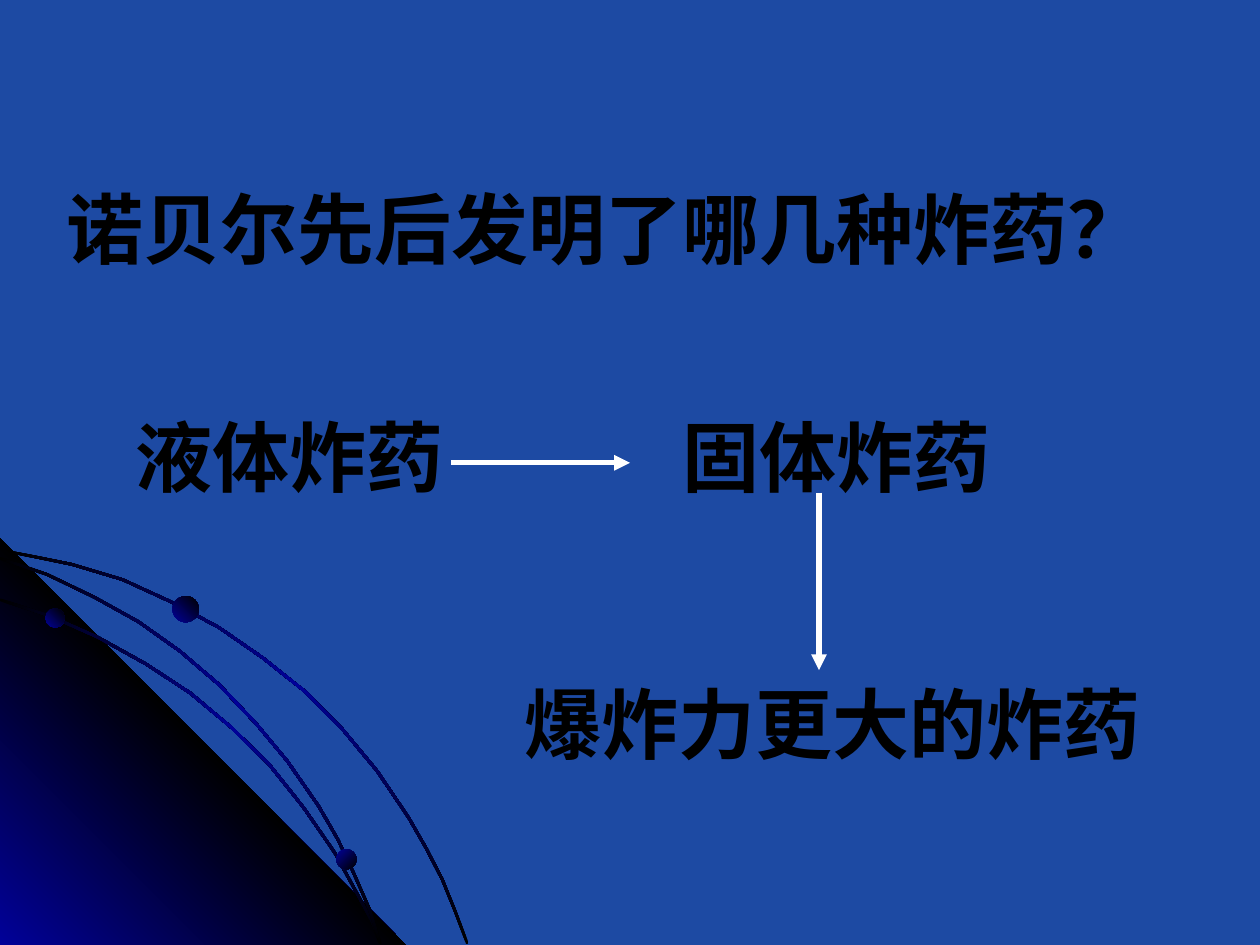
from dataclasses import dataclass
from math import hypot

from lxml.etree import SubElement
from pptx import Presentation
from pptx.dml.color import RGBColor
from pptx.enum.shapes import MSO_CONNECTOR, MSO_SHAPE
from pptx.enum.text import MSO_ANCHOR, MSO_AUTO_SIZE, PP_ALIGN
from pptx.oxml.ns import qn
from pptx.util import Pt


@dataclass(frozen=True)
class Theme:
    back: str = "1D4AA3"
    ink: str = "000000"
    glow: str = "010199"
    line: str = "FFFFFF"
    head: str = "Noto Sans CJK SC"
    body: str = "Arial"
    size: int = 44
    weight: int = 3
    band: float = 1.5


THEME = Theme()

OUTER = [(0, 6.8), (20, 10.7), (41, 15), (70, 23.7), (97.5, 36.3), (125, 51),
         (150, 68.3), (174, 87.4), (195.5, 109), (215.3, 132.8), (233.3, 159.4),
         (243.4, 177), (252.7, 195), (260, 213), (267.1, 231.8)]
INNER = [(0, 35.2), (28.8, 44.6), (56.2, 56.8), (83.5, 72), (108.7, 88.5),
         (132, 108), (154, 129.5), (173.5, 154), (191.2, 179.6), (205.6, 205.9),
         (212.4, 218.8), (217.4, 231.8)]
MIDDLE = [(0, 11.5), (27, 20.8), (54, 33.8), (79.2, 47.8), (103, 64.7),
          (125.3, 83.8), (146.2, 105.8), (164.2, 127.4), (182.2, 153.3),
          (193, 172), (202.3, 191.8), (211, 211.6), (217.4, 231.8)]
BALLS = [(26, 40.2, 11, 45), (192.2, 177.8, 11.5, 315), (98.6, 33.1, 15, 45)]


def shade(shape, colors, angle):
    shape.shadow.inherit = False
    shape.line.fill.background()
    fill = shape.fill
    fill.gradient()
    fill.gradient_angle = angle
    stops = shape._element.spPr.find(qn("a:gradFill")).find(qn("a:gsLst"))
    for stop in list(stops):
        stops.remove(stop)
    for i, color in enumerate(colors):
        place = 100000 * i // (len(colors) - 1)
        stop = SubElement(stops, qn("a:gs"), pos=str(place))
        SubElement(stop, qn("a:srgbClr"), val=color)


def trace(shapes, box, points):
    left, top = box[:2]
    spots = [(Pt(left + x), Pt(top + y)) for x, y in points]
    pen = shapes.build_freeform(*spots[0], scale=1.0)
    pen.add_line_segments(spots[1:], close=True)
    return pen.convert_to_shape()


def widen(curve, width):
    upper, lower = [], []
    last = len(curve) - 1
    for i, (x, y) in enumerate(curve):
        (ax, ay), (bx, by) = curve[max(i - 1, 0)], curve[min(i + 1, last)]
        span = hypot(bx - ax, by - ay)
        dx, dy = (by - ay) / span * width / 2, (ax - bx) / span * width / 2
        upper.append((x + dx, y + dy))
        lower.append((x - dx, y - dy))
    return upper + lower[::-1]


def draw_arc(shapes, box, curve):
    arc = trace(shapes, box, widen(curve, THEME.band))
    shade(arc, [THEME.ink, THEME.glow, THEME.ink], 315)


def draw_corner(shapes, box):
    left, top, width, height = box
    draw_arc(shapes, box, OUTER)
    wedge = trace(shapes, box, [(0, 0), (width, height), (0, height)])
    shade(wedge, [THEME.glow, THEME.ink, THEME.glow], 45)
    for curve in (INNER, MIDDLE):
        draw_arc(shapes, box, curve)
    for x, y, size, angle in BALLS:
        ball = shapes.add_shape(MSO_SHAPE.OVAL, Pt(left + x), Pt(top + y),
                                Pt(size), Pt(size))
        shade(ball, [THEME.glow, THEME.ink], angle)


def set_text(shape, text, face, wrap=True):
    frame = shape.text_frame
    frame.text = text
    frame.word_wrap = wrap
    frame.auto_size = MSO_AUTO_SIZE.NONE
    frame.vertical_anchor = MSO_ANCHOR.TOP
    para = frame.paragraphs[0]
    para.alignment = PP_ALIGN.LEFT
    font = para.font
    font.name, font.size, font.bold = face, Pt(THEME.size), True
    font.color.rgb = RGBColor.from_string(THEME.ink)


def draw_title(title, box, text):
    title.left, title.top, title.width, title.height = map(Pt, box)
    set_text(title, text, THEME.head)


def draw_arrow(shapes, start, end):
    arrow = shapes.add_connector(MSO_CONNECTOR.STRAIGHT,
                                 *map(Pt, start), *map(Pt, end))
    arrow.line.width = Pt(THEME.weight)
    arrow.line.color.rgb = RGBColor.from_string(THEME.line)
    SubElement(arrow.line._get_or_add_ln(), qn("a:tailEnd"), type="triangle")
    SubElement(arrow._element.spPr, qn("a:effectLst"))


def draw_flow(shapes, box):
    left, top, width, height = box
    tall = 60.5
    low = height - tall
    steps = [("液体炸药", 0, 0, 221, True),
             ("固体炸药", 312.5, 0, 190, False),
             ("爆炸力更大的炸药", width - 366.5, low, 366.5, False)]
    for text, x, y, wide, wrap in steps:
        label = shapes.add_textbox(Pt(left + x), Pt(top + y), Pt(wide), Pt(tall))
        set_text(label, text, THEME.body, wrap)
    draw_arrow(shapes, (left + 187.5, top + 34), (left + 289.5, top + 34))
    draw_arrow(shapes, (left + 397.5, top + 51), (left + 397.5, top + low))


def main():
    deck = Presentation()
    deck.slide_width, deck.slide_height = Pt(720), Pt(540)
    slide = deck.slides.add_slide(deck.slide_layouts[5])
    fill = slide.background.fill
    fill.solid()
    fill.fore_color.rgb = RGBColor.from_string(THEME.back)
    shapes = slide.shapes
    draw_corner(shapes, (0, 307.5, 232, 232.5))
    draw_title(shapes.title, (31, 100, 646.5, 60.5), "诺贝尔先后发明了哪几种炸药？")
    draw_flow(shapes, (70.5, 230.5, 588.5, 213))
    deck.save("out.pptx")


if __name__ == "__main__":
    main()
